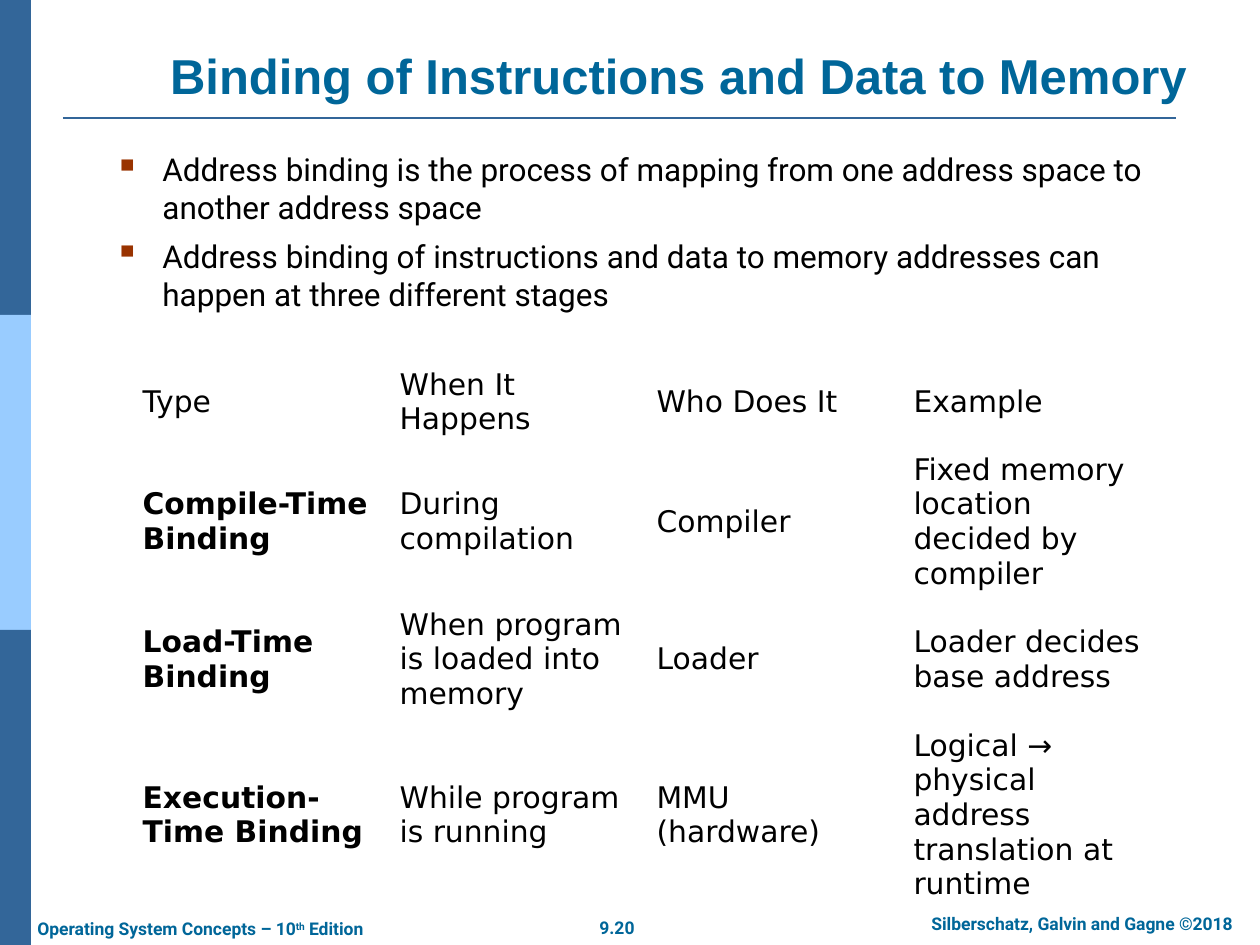
"""Build the slide on binding of instructions and data to memory."""
import pptx
import pptx.dml.color
import pptx.enum.shapes
import pptx.enum.text
import pptx.oxml
import pptx.oxml.ns
import pptx.util

RGBColor = pptx.dml.color.RGBColor
ALIGN = pptx.enum.text.PP_ALIGN
ANCHOR = pptx.enum.text.MSO_ANCHOR
BLUE = RGBColor(0x33, 0x66, 0x99)
LIGHT_BLUE = RGBColor(0x99, 0xCC, 0xFF)
TEAL = RGBColor(0x00, 0x66, 0x99)
BLACK = RGBColor(0x00, 0x00, 0x00)
BULLET_COLOR = "993300"
PX = 914400 // 126
NAMESPACE = pptx.oxml.ns.nsdecls("a")


def px(*lengths):
    return [length * PX for length in lengths]


def add_text(para, text, color, **formats):
    span = para.add_run()
    span.text = text
    span.font.color.rgb = color
    for name, value in formats.items():
        setattr(span.font, name, value)
    return span


deck = pptx.Presentation()
deck.slide_width, deck.slide_height = px(1260, 945)
page = deck.slides.add_slide(deck.slide_layouts[5])

for row, color in enumerate((BLUE, LIGHT_BLUE, BLUE)):
    band = page.shapes.add_shape(
        pptx.enum.shapes.MSO_SHAPE.RECTANGLE, *px(0, row * 315, 31, 315))
    band.shadow.inherit = False
    band.fill.solid()
    band.fill.fore_color.rgb = color
    band.line.fill.background()

rule = page.shapes.add_connector(
    pptx.enum.shapes.MSO_CONNECTOR.STRAIGHT, *px(63, 118, 1176, 118))
rule.line.color.rgb = BLUE
rule.line.width = pptx.util.Pt(1.5)
rule.element.spPr.append(pptx.oxml.parse_xml(f"<a:effectLst {NAMESPACE}/>"))

title = page.shapes.title
title.left, title.top, title.width, title.height = px(118, 48, 1121, 63)
title.text_frame.vertical_anchor = ANCHOR.BOTTOM
title.text_frame.auto_size = pptx.enum.text.MSO_AUTO_SIZE.NONE
title_para = title.text_frame.paragraphs[0]
title_para.alignment = ALIGN.CENTER
add_text(title_para, "Binding of Instructions and Data to Memory", TEAL,
         name="Arial", size=pptx.util.Pt(28), bold=True)

points = [
    "Address binding is the process of mapping from one address space to another address space",
    "Address binding of instructions and data to memory addresses can happen at three different stages",
]
body = page.shapes.add_textbox(*px(102, 144, 1056, 741))
body.text_frame.word_wrap = True
for index, point in enumerate(points):
    para = body.text_frame.paragraphs[0] if index == 0 else body.text_frame.add_paragraph()
    properties = para._p.get_or_add_pPr()
    properties.set("marL", str(48 * PX))
    properties.set("indent", str(-48 * PX))
    for bullet in (
        f'<a:buClr {NAMESPACE}><a:srgbClr val="{BULLET_COLOR}"/></a:buClr>',
        f'<a:buSzPct {NAMESPACE} val="110000"/>',
        f'<a:buChar {NAMESPACE} char="▪"/>',
    ):
        properties.append(pptx.oxml.parse_xml(bullet))
    if index:
        para.space_before = pptx.util.Pt(6.3)
    add_text(para, point, BLACK, name="Roboto", size=pptx.util.Pt(18))

stages = [
    ("Type", "When It Happens", "Who Does It", "Example"),
    ("Compile-Time Binding", "During compilation", "Compiler",
     "Fixed memory location decided by compiler"),
    ("Load-Time Binding", "When program is loaded into memory", "Loader",
     "Loader decides base address"),
    ("Execution-Time Binding", "While program is running", "MMU (hardware)",
     "Logical → physical address translation at runtime"),
]
frame = page.shapes.add_table(len(stages), len(stages[0]), *px(130, 360, 1028, 441))
table = frame.table
table.first_row = table.horz_banding = False
for row, height in zip(table.rows, px(40, 92, 74, 92)):
    row.height = height
for row, stage in enumerate(stages):
    for column, text in enumerate(stage):
        cell = table.cell(row, column)
        cell.fill.background()
        cell.vertical_anchor = ANCHOR.MIDDLE
        add_text(cell.text_frame.paragraphs[0], text, BLACK, name="DejaVu Sans",
                 size=pptx.util.Pt(17), bold=row > 0 and column == 0)

footers = [
    ((586, 911, 62, 34), ALIGN.CENTER, False, ["9.20"]),
    ((895, 907, 374, 34), ALIGN.CENTER, True, ["Silberschatz, Galvin and Gagne ©2018"]),
    ((25, 912, 377, 34), ALIGN.LEFT, True,
     ["Operating System Concepts – 10", "th", " Edition"]),
]
for place, alignment, wrap, texts in footers:
    box = page.shapes.add_textbox(*px(*place))
    box.text_frame.word_wrap = wrap
    para = box.text_frame.paragraphs[0]
    para.alignment = alignment
    for text in texts:
        span = add_text(para, text, TEAL, name="Roboto", size=pptx.util.Pt(10), bold=True)
        if text == "th":
            span.font._element.set("baseline", "30000")

deck.save("out.pptx")
